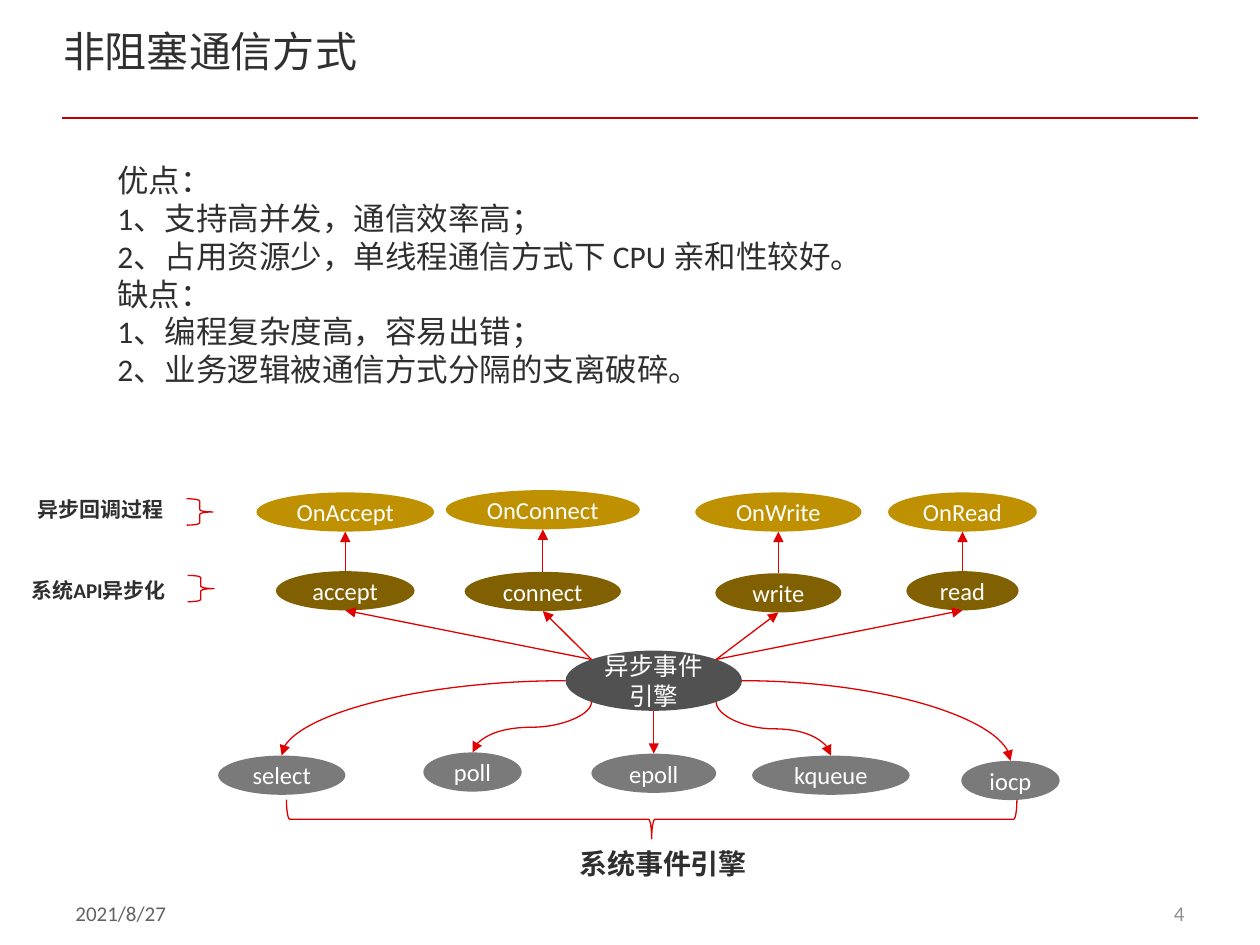
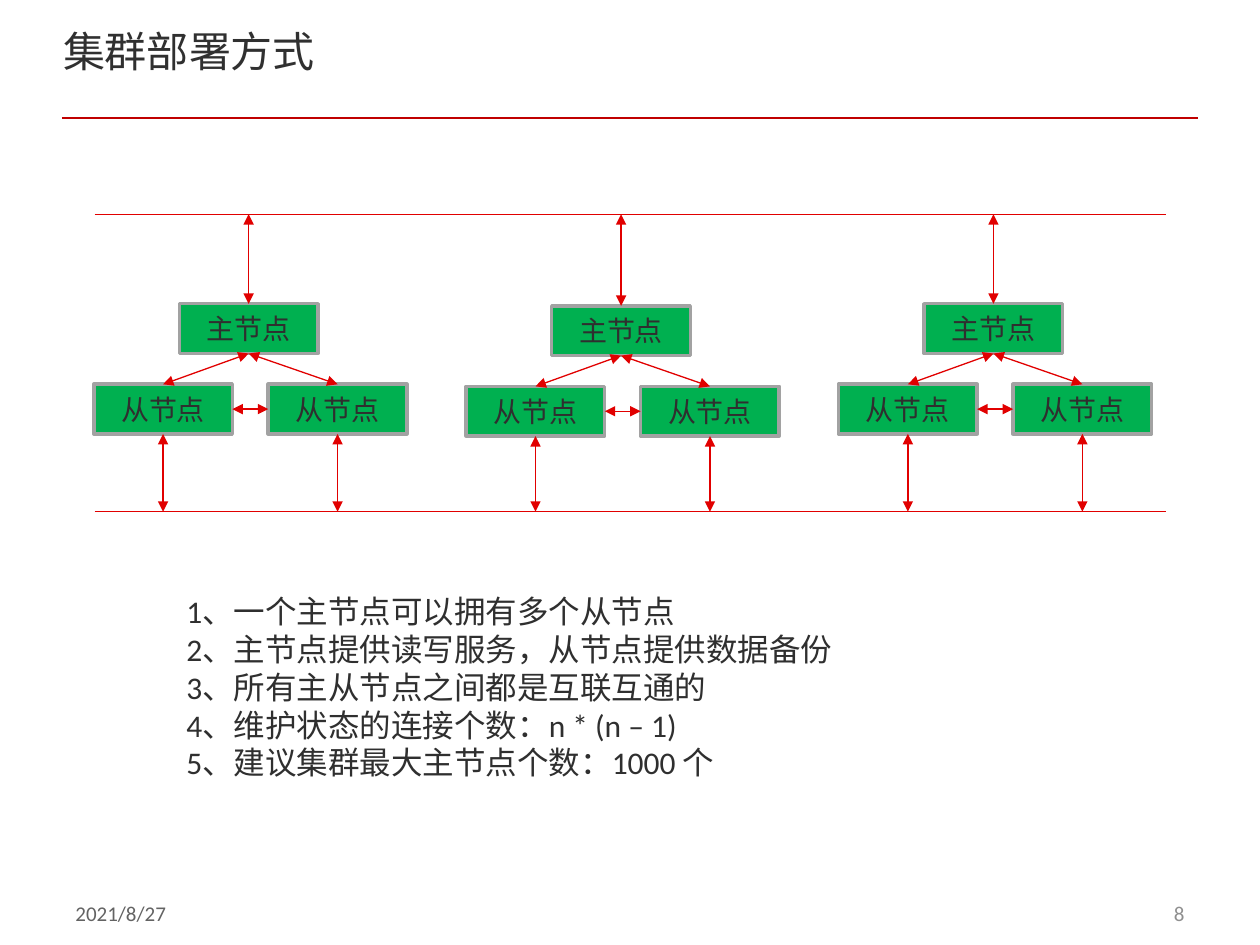
"""Build two slides on non-blocking communication and cluster deployment."""
from math import sqrt

from lxml.etree import SubElement
from pptx import Presentation
from pptx.dml.color import RGBColor
from pptx.enum.shapes import MSO_CONNECTOR as Connector, MSO_SHAPE as Preset
from pptx.enum.text import MSO_ANCHOR as Anchor, PP_ALIGN as Align
from pptx.oxml.ns import qn
from pptx.util import Pt

WHITE = RGBColor(0xFF, 0xFF, 0xFF)
TITLE_COLOR = RGBColor(0x30, 0x30, 0x30)
INK = RGBColor(0x2F, 0x2F, 0x2F)
DATE_GRAY = RGBColor(0x63, 0x63, 0x63)
NUMBER_GRAY = RGBColor(0x8F, 0x8F, 0x8F)
RULE_RED = RGBColor(0xC0, 0x00, 0x00)
RED = RGBColor(0xE1, 0x00, 0x00)
ENGINE_GRAY = RGBColor(0x51, 0x51, 0x51)
SOURCE_GRAY = RGBColor(0x7A, 0x7A, 0x7A)
BROWN = RGBColor(0x80, 0x60, 0x00)
GOLD = RGBColor(0xBF, 0x90, 0x00)
GREEN = RGBColor(0x00, 0xB0, 0x50)
BORDER_GRAY = RGBColor(0xA2, 0xA2, 0xA2)
LATIN, CHINESE = "Calibri", "Noto Sans CJK SC"

DATE = "2021/8/27"
ENGINE = "异步事件引擎"
NONBLOCKING_POINTS = [
    "优点：",
    "1、支持高并发，通信效率高；",
    "2、占用资源少，单线程通信方式下 CPU 亲和性较好。",
    "缺点：",
    "1、编程复杂度高，容易出错；",
    "2、业务逻辑被通信方式分隔的支离破碎。",
]
# name, center, top, width
CALLS = [
    (("accept", 326.4, 79.2), ("OnAccept", 281.4, 101.5), 197.3),
    (("connect", 326.8, 89.3), ("OnConnect", 280.1, 110.9), 310.2),
    (("write", 327.6, 72), ("OnWrite", 281.4, 95), 444.8),
    (("read", 326.4, 64.1), ("OnRead", 281.4, 85), 550),
]
SOURCES = [
    ("select", 161, 431.8, 72.7),
    ("poll", 270, 430, 56.2),
    ("epoll", 373.6, 430.7, 71.3),
    ("kqueue", 474.8, 431.8, 90),
    ("iocp", 577.4, 434.8, 56.2),
]
LABELS = [
    ("系统事件引擎", 324, 480.2, 111.6, 16),
    ("系统API异步化", 10.8, 326.2, 92.2, 12),
    ("异步回调过程", 14.4, 280.1, 92.2, 12),
]
CLUSTER_POINTS = [
    "1、一个主节点可以拥有多个从节点",
    "2、主节点提供读写服务，从节点提供数据备份",
    "3、所有主从节点之间都是互联互通的",
    "4、维护状态的连接个数：n * (n – 1)",
    "5、建议集群最大主节点个数：1000 个",
]
MASTER, FOLLOWER = "主节点", "从节点"
CLUSTER_TOPS = [173.6, 174.8, 173.6]

ELLIPSE_HEIGHT = 22.4
ENGINE_BOX = (323.2, 371.8, 100.8, 34.4)
NODE_WIDTH, NODE_HEIGHT = 79.2, 28.4
CLUSTER_LEFT, CLUSTER_STEP = 53.6, 212.8
FOLLOWER_STEP, MASTER_INDENT, FOLLOWER_DROP = 99.7, 48.9, 46
BUS_LEFT, BUS_RIGHT, BUS_TOP, BUS_BOTTOM = 54, 666, 122.4, 292.4


def write(frame, text, size=18, color=INK, bold=None, align=Align.LEFT,
          anchor=Anchor.TOP, font=LATIN, inset=None):
    """Fill a text frame with one paragraph for each line of text."""
    frame.word_wrap = True
    frame.vertical_anchor = anchor
    if inset is not None:
        frame.margin_left = frame.margin_right = Pt(inset)
        frame.margin_top = frame.margin_bottom = Pt(inset)
    for index, line in enumerate(text.split("\n")):
        paragraph = frame.add_paragraph() if index else frame.paragraphs[0]
        paragraph.alignment = align
        run = paragraph.add_run()
        run.text = line
        run.font.size, run.font.bold, run.font.name = Pt(size), bold, font
        run.font.color.rgb = color
        SubElement(run.font._element, qn("a:ea"), typeface=CHINESE)


def add_text(slide, text, box, **style):
    """Add a text box."""
    write(slide.shapes.add_textbox(*map(Pt, box)).text_frame, text, **style)


def add_shape(slide, preset, box, fill=None, line=None, width=0.75):
    """Add a preset shape with plain fill and outline."""
    shape = slide.shapes.add_shape(preset, *map(Pt, box))
    shape.shadow.inherit = False
    if fill is None:
        shape.fill.background()
    else:
        shape.fill.solid()
        shape.fill.fore_color.rgb = fill
    if line is None:
        shape.line.fill.background()
    else:
        shape.line.color.rgb = line
        shape.line.width = Pt(width)
    return shape


def add_line(slide, start, end, arrows=(), kind=Connector.STRAIGHT, color=RED, width=0.75):
    """Add a connector with arrowheads at the named ends."""
    line = slide.shapes.add_connector(kind, *map(Pt, (*start, *end)))
    line.line.color.rgb = color
    line.line.width = Pt(width)
    for name in arrows:
        SubElement(line.line._get_or_add_ln(), qn(f"a:{name}"), type="triangle")
    SubElement(line._element.spPr, qn("a:effectLst"))
    return line


def add_bend(slide, start, end):
    """Add a curve that leaves sideways and arrives from above."""
    line = add_line(slide, start, end, ["tailEnd"], Connector.CURVE)
    line._element.spPr.find(qn("a:prstGeom")).set("prst", "curvedConnector2")


def add_wave(slide, start, end):
    """Add an S curve that leaves and arrives vertically."""
    (x1, y1), (x2, y2) = start, end
    middle_x, middle_y = (x1 + x2) / 2, (y1 + y2) / 2
    side = 1 if x2 < x1 else -1
    run, rise = side * (y2 - y1) / 2, abs(x2 - x1) / 2
    line = add_line(slide, (middle_x - run, middle_y - rise),
                    (middle_x + run, middle_y + rise), ["tailEnd"], Connector.CURVE)
    turn = 90 if side == 1 else 270
    line._element.spPr.find(qn("a:xfrm")).set("rot", str(turn * 60000))


def add_ellipse(slide, text, box, fill):
    """Add an ellipse with white centred text."""
    shape = add_shape(slide, Preset.OVAL, box, fill)
    write(shape.text_frame, text, size=14, color=WHITE, align=Align.CENTER, anchor=Anchor.MIDDLE)


def add_named_ellipse(slide, text, center, top, width, fill):
    """Add a flat ellipse placed by its centre."""
    add_ellipse(slide, text, (center - width / 2, top, width, ELLIPSE_HEIGHT), fill)


def add_base(presentation, title, number):
    """Add a slide with the shared title, rule and footer."""
    slide = presentation.slides.add_slide(presentation.slide_layouts[6])
    add_line(slide, (35.4, 67.6), (684.6, 67.6), color=RULE_RED, width=1)
    add_text(slide, DATE, (36, 502.8, 168, 38), size=12, color=DATE_GRAY, anchor=Anchor.MIDDLE)
    add_text(slide, number, (516, 502.8, 168, 38), size=12, color=NUMBER_GRAY,
             align=Align.RIGHT, anchor=Anchor.MIDDLE)
    add_text(slide, title, (36, 14.4, 556.8, 50.4), size=24, color=TITLE_COLOR,
             font=CHINESE, inset=0)
    return slide


def build_nonblocking(presentation):
    """Draw the event engine with its calls and event sources."""
    slide = add_base(presentation, "非阻塞通信方式", "4")
    add_text(slide, "\n".join(NONBLOCKING_POINTS), (60, 88.6, 617.8, 138.2))
    left, top, width, height = ENGINE_BOX
    center, middle = left + width / 2, top + height / 2
    reach_x, reach_y = width / sqrt(8), height / sqrt(8)
    add_ellipse(slide, ENGINE, ENGINE_BOX, ENGINE_GRAY)

    for index, (name, x, y, source_width) in enumerate(SOURCES):
        add_named_ellipse(slide, name, x, y, source_width, SOURCE_GRAY)
        side = -1 if x < center else 1
        if index in (0, len(SOURCES) - 1):
            add_bend(slide, (center + side * width / 2, middle), (x, y))
        elif index == len(SOURCES) // 2:
            add_line(slide, (center, top + height), (x, y), ["tailEnd"])
        else:
            add_wave(slide, (center + side * reach_x, middle + reach_y), (x, y))

    for (call, call_top, call_width), (callback, back_top, back_width), x in CALLS:
        add_named_ellipse(slide, call, x, call_top, call_width, BROWN)
        add_named_ellipse(slide, callback, x, back_top, back_width, GOLD)
        side = -1 if x < center else 1
        add_line(slide, (center + side * reach_x, middle - reach_y),
                 (x, call_top + ELLIPSE_HEIGHT), ["tailEnd"])
        add_line(slide, (x, call_top), (x, back_top + ELLIPSE_HEIGHT), ["tailEnd"])

    brace = add_shape(slide, Preset.LEFT_BRACE, (361.2, 259.4, 22.4, 417.4), line=RED)
    brace.rotation = 270
    brace.adjustments[1] = 0.5
    for x, y in ((106.6, 285), (107.2, 328.8)):
        add_shape(slide, Preset.RIGHT_BRACE, (x, y, 15.1, 15.1), line=RED)
    for text, x, y, label_width, size in LABELS:
        add_text(slide, text, (x, y, label_width, 24), size=size, bold=True)


def add_node(slide, text, x, y):
    """Add a bordered cluster node."""
    shape = add_shape(slide, Preset.RECTANGLE, (x, y, NODE_WIDTH, NODE_HEIGHT),
                      GREEN, BORDER_GRAY, 2)
    write(shape.text_frame, text, size=16, align=Align.CENTER, anchor=Anchor.MIDDLE)


def build_cluster(presentation):
    """Draw three clusters between two shared lines."""
    slide = add_base(presentation, "集群部署方式", "8")
    both = ["headEnd", "tailEnd"]
    for y in (BUS_TOP, BUS_BOTTOM):
        add_line(slide, (BUS_LEFT, y), (BUS_RIGHT, y))
    for index, top in enumerate(CLUSTER_TOPS):
        left = CLUSTER_LEFT + index * CLUSTER_STEP
        master_x = left + MASTER_INDENT
        master_center = master_x + NODE_WIDTH / 2
        follower_top = top + FOLLOWER_DROP
        add_node(slide, MASTER, master_x, top)
        add_line(slide, (master_center, BUS_TOP), (master_center, top), both)
        for x in (left, left + FOLLOWER_STEP):
            follower_center = x + NODE_WIDTH / 2
            add_node(slide, FOLLOWER, x, follower_top)
            add_line(slide, (master_center, top + NODE_HEIGHT),
                     (follower_center, follower_top), both)
            add_line(slide, (follower_center, follower_top + NODE_HEIGHT),
                     (follower_center, BUS_BOTTOM), both)
        link_y = follower_top + NODE_HEIGHT / 2
        add_line(slide, (left + NODE_WIDTH, link_y), (left + FOLLOWER_STEP, link_y), both)
    add_text(slide, "\n".join(CLUSTER_POINTS), (99.4, 334.8, 499, 116.6))


def main():
    """Build and save the presentation."""
    presentation = Presentation()
    presentation.slide_width, presentation.slide_height = Pt(720), Pt(540)
    build_nonblocking(presentation)
    build_cluster(presentation)
    presentation.save("out.pptx")


if __name__ == "__main__":
    main()
